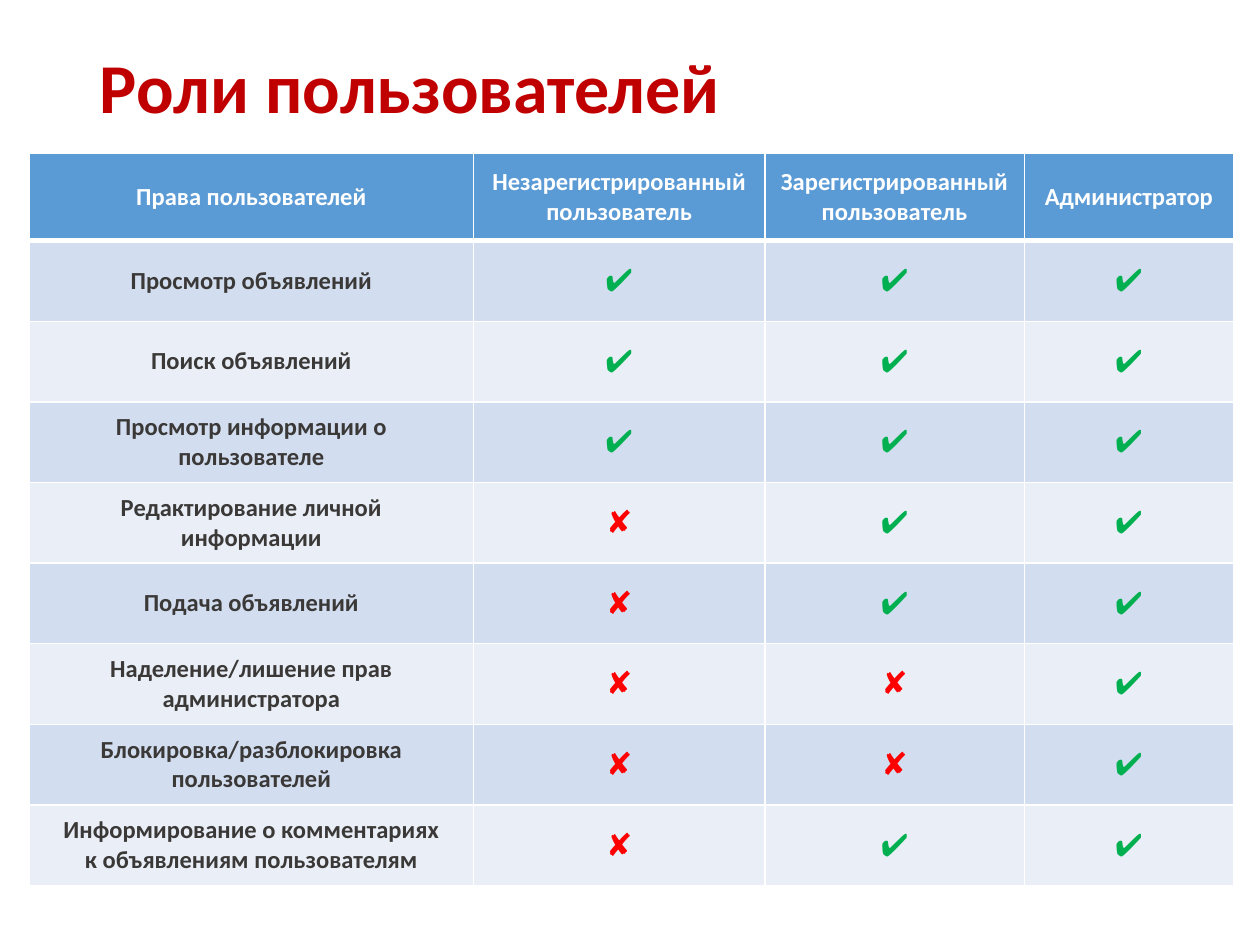
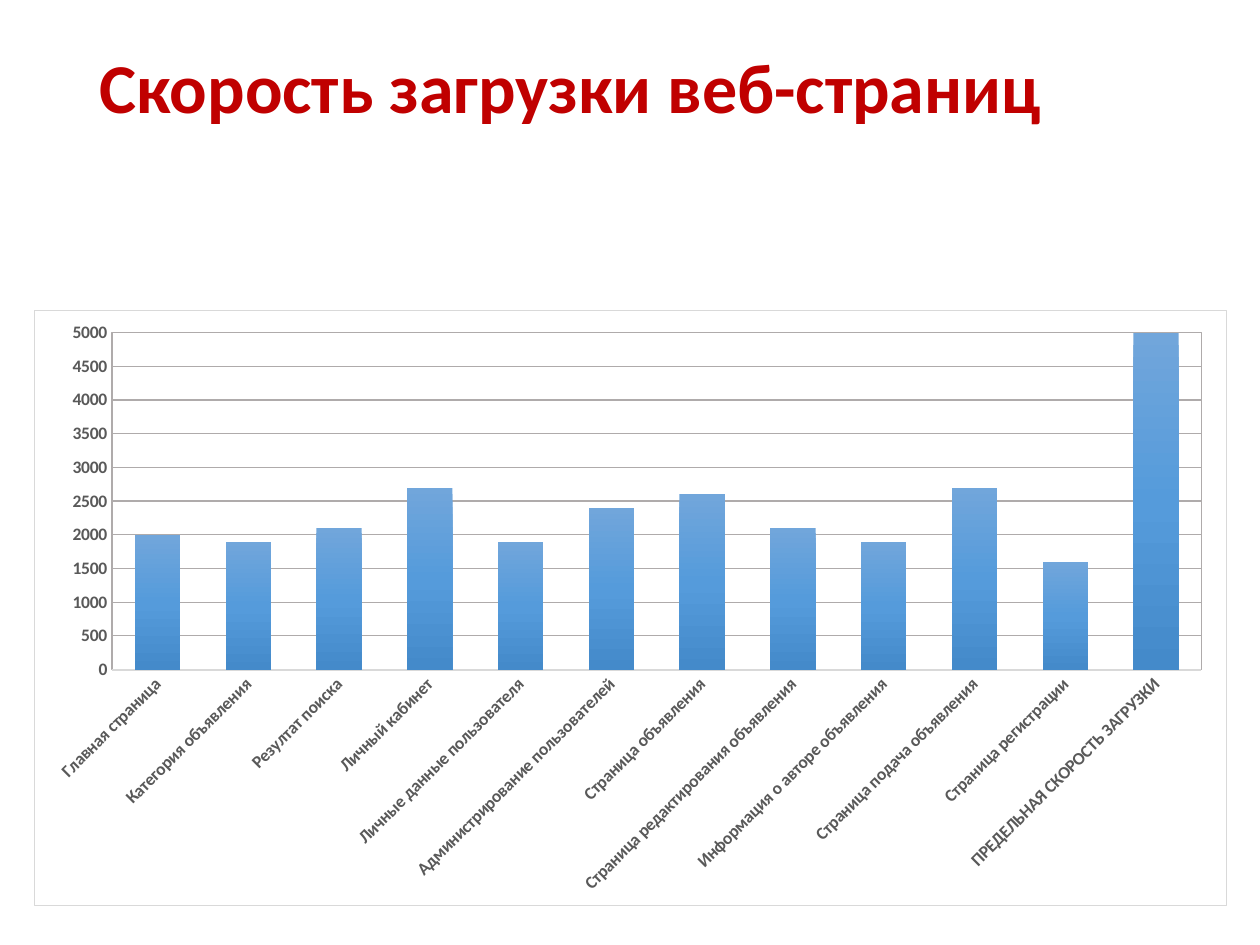
"""Build two slides: a table of user rights and a chart of page loading speed."""
from copy import deepcopy

from lxml import etree
from pptx import Presentation
from pptx import util as u
from pptx.chart import data as chart_data
from pptx.dml.color import RGBColor
from pptx.enum import chart as ch
from pptx.enum import text
from pptx.oxml import parse_xml
from pptx.oxml.ns import nsdecls, qn

RED = RGBColor(0xC0, 0x00, 0x00)
WHITE = RGBColor(0xFF, 0xFF, 0xFF)
BLUE = RGBColor(0x5B, 0x9B, 0xD5)
BANDS = RGBColor(0xD2, 0xDE, 0xEF), RGBColor(0xEA, 0xEF, 0xF7)
DARK = RGBColor(0x3B, 0x38, 0x38)
LABEL = RGBColor(0x59, 0x59, 0x59)
GRID = RGBColor(0xAF, 0xAB, 0xAB)
FRAME = RGBColor(0xD9, 0xD9, 0xD9)
BAR_STOPS = [
    (0, RGBColor(0x71, 0xA6, 0xDB)),
    (0.5, RGBColor(0x55, 0x9B, 0xDB)),
    (1, RGBColor(0x44, 0x8A, 0xCA)),
]
YES, NO = "✔", "✘"
MARK_COLORS = {YES: RGBColor(0x00, 0xB0, 0x50), NO: RGBColor(0xFF, 0x00, 0x00)}

HEADER = [
    "Права пользователей",
    "Незарегистрированный пользователь",
    "Зарегистрированный пользователь",
    "Администратор",
]
RIGHTS = [
    ("Просмотр объявлений", YES, YES, YES),
    ("Поиск объявлений", YES, YES, YES),
    ("Просмотр информации о пользователе", YES, YES, YES),
    ("Редактирование личной\nинформации", NO, YES, YES),
    ("Подача объявлений", NO, YES, YES),
    ("Наделение/лишение прав администратора", NO, NO, YES),
    ("Блокировка/разблокировка пользователей", NO, NO, YES),
    ("Информирование о комментариях\nк объявлениям пользователям", NO, YES, YES),
]
LOADING = {
    "Главная страница": 2000,
    "Категория объявления": 1900,
    "Резултат поиска": 2100,
    "Личный кабинет": 2700,
    "Личные данные пользователя": 1900,
    "Администрирование пользователей": 2400,
    "Страница объявления": 2600,
    "Страница редактирования объявления": 2100,
    "Информация о авторе объявления": 1900,
    "Страница подача объявления": 2700,
    "Страница регистрации": 1600,
    "ПРЕДЕЛЬНАЯ СКОРОСТЬ ЗАГРУЗКИ": 5000,
}


def apply(target, **values):
    for name, value in values.items():
        setattr(target, name, value)


def outline(color, points):
    return parse_xml(
        f'<c:spPr {nsdecls("c", "a")}><a:noFill/><a:ln w="{u.Pt(points)}">'
        f'<a:solidFill><a:srgbClr val="{color}"/></a:solidFill></a:ln></c:spPr>'
    )


class SlideBuilder:
    font_name = "Calibri"

    def __init__(self, deck):
        self.deck = deck
        self.slide = None

    def style(self, font, size, color, bold=True):
        apply(font, name=self.font_name, size=u.Pt(size), bold=bold)
        font.color.rgb = color

    def new_slide(self, title):
        self.slide = self.deck.slides.add_slide(self.deck.slide_layouts[5])
        box = self.slide.shapes.title
        apply(box, left=u.Inches(0.69), top=u.Inches(0.18),
              width=u.Inches(8.62), height=u.Inches(1.09))
        frame = box.text_frame
        frame.text = title
        apply(frame, word_wrap=True, auto_size=text.MSO_AUTO_SIZE.NONE,
              vertical_anchor=text.MSO_ANCHOR.MIDDLE)
        para = frame.paragraphs[0]
        apply(para, alignment=text.PP_ALIGN.LEFT, line_spacing=0.9)
        self.style(para.runs[0].font, 40, RED)

    def borders(self, cell, **widths):
        properties = cell._tc.get_or_add_tcPr()
        for place, side in enumerate("LRTB"):
            line = etree.Element(qn(f"a:ln{side}"), w=str(u.Pt(widths.get(side, 1))))
            fill = etree.SubElement(line, qn("a:solidFill"))
            etree.SubElement(fill, qn("a:srgbClr"), val=str(WHITE))
            properties.insert(place, line)

    def cell(self, cell, words, fill, size, color, bold, **widths):
        cell.text = words
        cell.vertical_anchor = text.MSO_ANCHOR.MIDDLE
        cell.fill.solid()
        cell.fill.fore_color.rgb = fill
        for para in cell.text_frame.paragraphs:
            para.alignment = text.PP_ALIGN.CENTER
            self.style(para.runs[0].font, size, color, bold)
        self.borders(cell, **widths)

    def table(self, header, rows, left, top, widths, head_height, row_height):
        height = head_height + row_height * len(rows)
        table = self.slide.shapes.add_table(
            len(rows) + 1, len(header), u.Inches(left), u.Inches(top),
            u.Inches(sum(widths)), u.Inches(height)).table
        for column, width in zip(table.columns, widths):
            column.width = u.Inches(width)
        for index, row in enumerate(table.rows):
            row.height = u.Inches(row_height if index else head_height)
        for cell, words in zip(table.rows[0].cells, header):
            self.cell(cell, words, BLUE, 14, WHITE, True, B=3)
        for index, values in enumerate(rows):
            for cell, words in zip(table.rows[index + 1].cells, values):
                mark = words in MARK_COLORS
                self.cell(cell, words, BANDS[index % 2], 18 if mark else 14,
                          MARK_COLORS.get(words, DARK), not mark,
                          T=1 if index else 3)

    def column_chart(self, values, left, top, width, height):
        data = chart_data.CategoryChartData()
        data.categories = list(values)
        data.add_series("Series 1", list(values.values()))
        chart = self.slide.shapes.add_chart(
            ch.XL_CHART_TYPE.COLUMN_CLUSTERED, u.Inches(left), u.Inches(top),
            u.Inches(width), u.Inches(height), data).chart
        apply(chart, has_legend=False, has_title=False)
        apply(chart.font, name=self.font_name, size=u.Pt(10))
        plot = chart.plots[0]
        apply(plot, gap_width=100, overlap=-24, vary_by_categories=False)
        self.gradient(plot.series[0])
        self.axes(chart)
        self.chart_frame(chart)

    def gradient(self, series):
        fill = series.format.fill
        fill.gradient()
        fill.gradient_angle = 270
        stops = series._element.find(".//" + qn("a:gsLst"))
        stops.append(deepcopy(stops[0]))
        for stop, (position, color) in zip(fill.gradient_stops, BAR_STOPS):
            stop.position = position
            stop.color.rgb = color

    def axes(self, chart):
        for axis in (chart.category_axis, chart.value_axis):
            apply(axis, major_tick_mark=ch.XL_TICK_MARK.NONE,
                  minor_tick_mark=ch.XL_TICK_MARK.NONE)
            self.style(axis.tick_labels.font, 10, LABEL)
        category, value = chart.category_axis, chart.value_axis
        category.format.line.color.rgb = FRAME
        category.format.line.width = u.Pt(1)
        category._element.find(".//" + qn("a:bodyPr")).set("rot", "-2700000")
        apply(value, minimum_scale=0, maximum_scale=5000, major_unit=500,
              has_major_gridlines=True)
        value.format.line.fill.background()
        grid = value.major_gridlines.format.line
        grid.color.rgb = GRID
        grid.width = u.Pt(0.75)

    def chart_frame(self, chart):
        space = chart._chartSpace
        space.find(qn("c:txPr")).addprevious(outline(FRAME, 0.75))
        area = space.find(".//" + qn("c:plotArea"))
        for old in area.findall(qn("c:layout")):
            area.remove(old)
        layout = etree.Element(qn("c:layout"))
        manual = etree.SubElement(layout, qn("c:manualLayout"))
        places = {"layoutTarget": "inner", "xMode": "edge", "yMode": "edge",
                  "x": 0.065, "y": 0.037, "w": 0.914, "h": 0.567}
        for name, value in places.items():
            etree.SubElement(manual, qn(f"c:{name}"), val=str(value))
        area.insert(0, layout)
        area.append(outline(GRID, 0.75))


def main():
    deck = Presentation()
    apply(deck, slide_width=u.Inches(10), slide_height=u.Inches(7.5))
    builder = SlideBuilder(deck)
    builder.new_slide("Роли пользователей")
    builder.table(HEADER, RIGHTS, 0.23, 1.22, [3.53, 2.31, 2.06, 1.66], 0.69, 0.64)
    builder.new_slide("Скорость загрузки веб-страниц")
    builder.column_chart(LOADING, 0.27, 2.46, 9.47, 4.73)
    deck.save("out.pptx")


if __name__ == "__main__":
    main()
